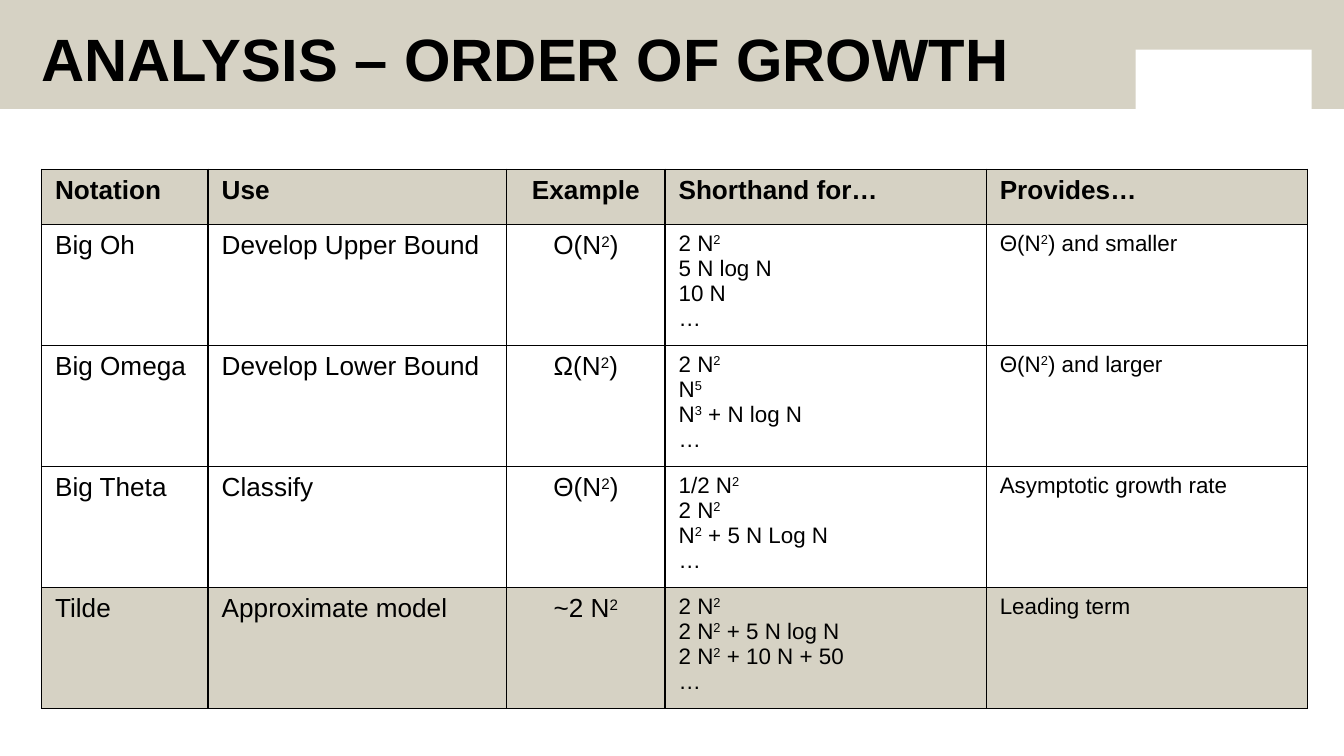
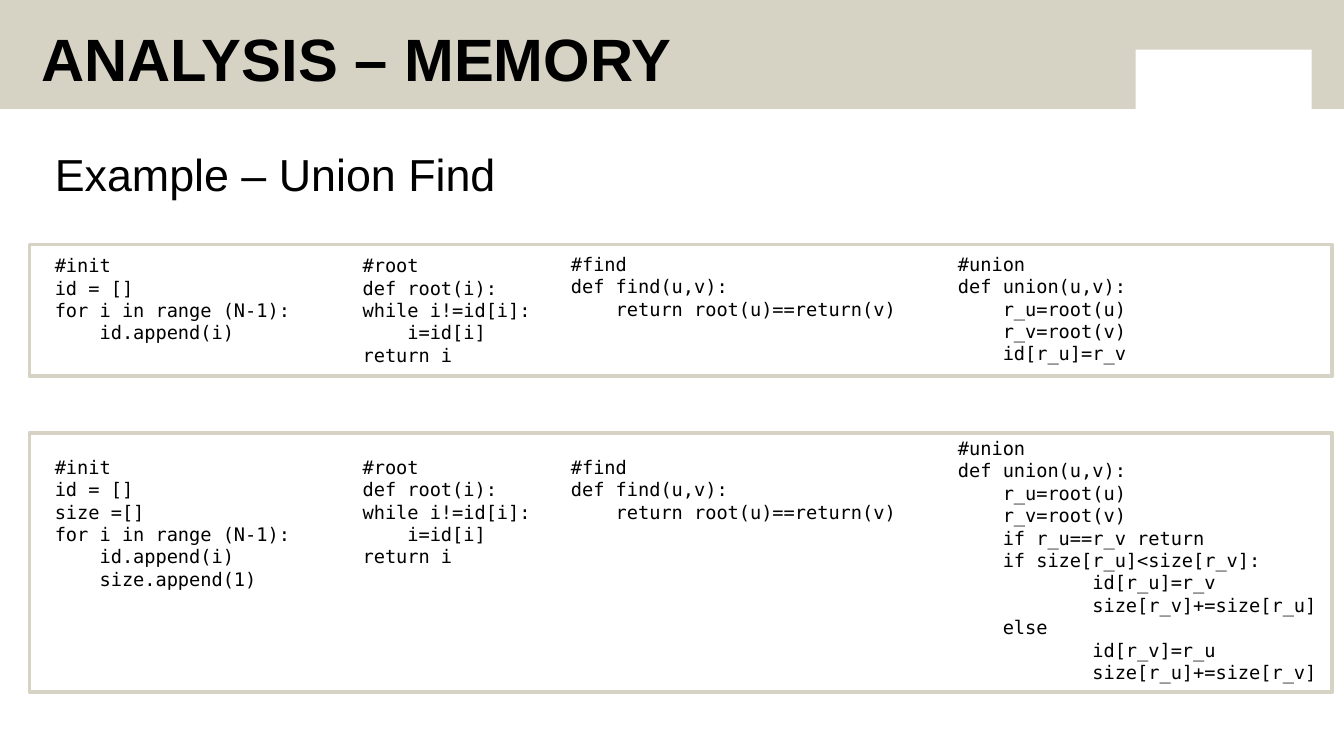
from lxml.etree import SubElement
from pptx import Presentation
from pptx.dml.color import RGBColor
from pptx.enum.shapes import MSO_SHAPE
from pptx.enum.text import MSO_AUTO_SIZE, PP_ALIGN
from pptx.oxml.ns import qn
from pptx.util import Inches, Pt

# Shared look
STONE, BLACK, WHITE = "D6D2C4", "000000", "FFFFFF"
SANS, MONO = "Arial", "DejaVu Sans Mono"

# Order of growth: "^" raises the next character
GROWTH_TITLE = "ANALYSIS – ORDER OF GROWTH"
COLUMNS = [  # heading, width, body size, alignment
    ("Notation", 1.24, 14, PP_ALIGN.LEFT),
    ("Use", 2.22, 14, PP_ALIGN.LEFT),
    ("Example", 1.18, 14, PP_ALIGN.CENTER),
    ("Shorthand for…", 2.39, 12, PP_ALIGN.LEFT),
    ("Provides…", 2.39, 12, PP_ALIGN.LEFT),
]
NOTATIONS = [
    ("Big Oh", "Develop Upper Bound", "Ο(N^2)",
     "2 N^2\n5 N log N\n10 N\n…", "Θ(N^2) and smaller"),
    ("Big Omega", "Develop Lower Bound", "Ω(N^2)",
     "2 N^2\nN^5\nN^3 + N log N\n…", "Θ(N^2) and larger"),
    ("Big Theta", "Classify", "Θ(N^2)",
     "1/2 N^2\n2 N^2\nN^2 + 5 N Log N\n…", "Asymptotic growth rate"),
    ("Tilde", "Approximate model", "~2 N^2",
     "2 N^2\n2 N^2 + 5 N log N\n2 N^2 + 10 N + 50\n…", "Leading term"),
]
ROW_HEIGHT, GROWTH_HEIGHT = 0.41, 4.01  # rows grow with their text

# Memory: the code of two versions of union find
MEMORY_TITLE = "ANALYSIS – MEMORY"
MEMORY_EXAMPLE = "Example – Union Find"
ROOT = """#root
def root(i):
while i!=id[i]:
    i=id[i]
return i"""
FIND = """#find
def find(u,v):
    return root(u)==return(v)"""
QUICK_INIT = """#init
id = []
for i in range (N-1):
    id.append(i)"""
QUICK_UNION = """#union
def union(u,v):
    r_u=root(u)
    r_v=root(v)
    id[r_u]=r_v"""
WEIGHTED_INIT = """#init
id = []
size =[]
for i in range (N-1):
    id.append(i)
    size.append(1)"""
WEIGHTED_UNION = """#union
def union(u,v):
    r_u=root(u)
    r_v=root(v)
    if r_u==r_v return
    if size[r_u]<size[r_v]:
\tid[r_u]=r_v
\tsize[r_v]+=size[r_u]
    else
\tid[r_v]=r_u
\tsize[r_u]+=size[r_v]"""
CODE_COLUMNS = [(0.31, 1.97), (2.6, 1.46), (4.15, 2.64), (7.03, 2.97)]  # left, width
VERSIONS = [  # frame top, frame height, then (top, code) for each column
    (1.82, 0.98, [(1.84, QUICK_INIT), (1.84, ROOT), (1.83, FIND), (1.83, QUICK_UNION)]),
    (3.22, 1.93, [(3.34, WEIGHTED_INIT), (3.34, ROOT), (3.34, FIND), (3.2, WEIGHTED_UNION)]),
]


def color(hex_code):
    return RGBColor.from_string(hex_code)


def style(font, size, name=SANS, bold=False):
    font.size, font.name, font.bold = Pt(size), name, bold
    font.color.rgb = color(BLACK)


def add_tab_stop(paragraph, position):
    tabs = SubElement(paragraph._p.get_or_add_pPr(), qn("a:tabLst"))
    SubElement(tabs, qn("a:tab"), pos=str(Inches(position)), algn="l")


def add_text(slide, box, text, size, name=SANS, bold=False, spacing=None, wrap=True):
    text_box = slide.shapes.add_textbox(*map(Inches, box))
    frame = text_box.text_frame
    frame.text = text
    frame.word_wrap = wrap
    for paragraph in frame.paragraphs:
        if spacing:
            paragraph.line_spacing = spacing
        if "\t" in paragraph.text:
            add_tab_stop(paragraph, 1)
        for run in paragraph.runs:
            style(run.font, size, name, bold)
    return frame


def add_rectangle(slide, box, fill=None, line=None):
    rectangle = slide.shapes.add_shape(MSO_SHAPE.RECTANGLE, *map(Inches, box))
    rectangle.shadow.inherit = False
    if fill:
        rectangle.fill.solid()
        rectangle.fill.fore_color.rgb = color(fill)
    else:
        rectangle.fill.background()
    if line:
        rectangle.line.color.rgb = color(line)
        rectangle.line.width = Pt(2)
    else:
        rectangle.line.fill.background()


def add_titled_slide(deck, title):
    slide = deck.slides.add_slide(deck.slide_layouts[6])
    add_rectangle(slide, (0, 0, 10, 0.81), fill=STONE)
    add_rectangle(slide, (8.45, 0.37, 1.31, 0.45), fill=WHITE)
    add_text(slide, (0.21, 0.17, 8.62, 0.64), title, 32, bold=True, spacing=0.9)
    return slide


def add_borders(cell):
    properties = cell._tc.get_or_add_tcPr()
    for side in ("a:lnL", "a:lnR", "a:lnT", "a:lnB"):
        border = SubElement(properties, qn(side), w=str(Pt(1)))
        SubElement(SubElement(border, qn("a:solidFill")), qn("a:srgbClr"), val=BLACK)


def add_powers(paragraph, formula, size, bold):
    base, *powers = formula.split("^")
    pieces = [(base, False)]
    for power in powers:
        pieces += [(power[0], True), (power[1:], False)]
    for piece, raised in pieces:
        if piece:
            run = paragraph.add_run()
            run.text = piece
            style(run.font, size, bold=bold)
            if raised:
                run._r.get_or_add_rPr().set("baseline", "30000")
    # The paragraph mark keeps the text size, so that rows stay tight
    SubElement(paragraph._p, qn("a:endParaRPr"), sz=str(size * 100))


def fill_cell(cell, text, size, alignment, bold, shaded):
    add_borders(cell)
    if shaded:
        cell.fill.solid()
        cell.fill.fore_color.rgb = color(STONE)
    else:
        cell.fill.background()
    frame = cell.text_frame
    for number, line in enumerate(text.split("\n")):
        paragraph = frame.add_paragraph() if number else frame.paragraphs[0]
        paragraph.alignment = alignment
        add_powers(paragraph, line, size, bold)


def build_growth(deck):
    slide = add_titled_slide(deck, GROWTH_TITLE)
    headings, widths, sizes, alignments = zip(*COLUMNS)
    rows = [headings] + NOTATIONS
    growth_frame = slide.shapes.add_table(
        len(rows), len(COLUMNS), Inches(0.31), Inches(1.26),
        Inches(sum(widths)), Inches(GROWTH_HEIGHT))
    growth = growth_frame.table
    growth.first_row = growth.horz_banding = False
    for column, width in zip(growth.columns, widths):
        column.width = Inches(width)
    for r, texts in enumerate(rows):
        growth.rows[r].height = Inches(ROW_HEIGHT)
        header = r == 0
        shaded = header or r == len(rows) - 1
        for c, text in enumerate(texts):
            size = 14 if header else sizes[c]
            fill_cell(growth.cell(r, c), text, size, alignments[c], header, shaded)
    growth_frame.height = Inches(GROWTH_HEIGHT)


def build_memory(deck):
    slide = add_titled_slide(deck, MEMORY_TITLE)
    add_text(slide, (0.31, 1.09, 9.14, 4.1), MEMORY_EXAMPLE, 24, spacing=0.9)
    for frame_top, frame_height, snippets in VERSIONS:
        for (left, width), (top, code) in zip(CODE_COLUMNS, snippets):
            height = 0.1 + 0.17 * len(code.split("\n"))
            # Only the union code, with its tabs, wraps at its box
            wrap = code.startswith("#union")
            frame = add_text(slide, (left, top, width, height), code, 10, MONO, wrap=wrap)
            frame.auto_size = MSO_AUTO_SIZE.SHAPE_TO_FIT_TEXT
        add_rectangle(slide, (0.22, frame_top, 9.69, frame_height), line=STONE)


def main():
    deck = Presentation()
    deck.slide_width = Inches(10)
    deck.slide_height = deck.slide_width * 9 // 16
    build_growth(deck)
    build_memory(deck)
    deck.save("out.pptx")


if __name__ == "__main__":
    main()
